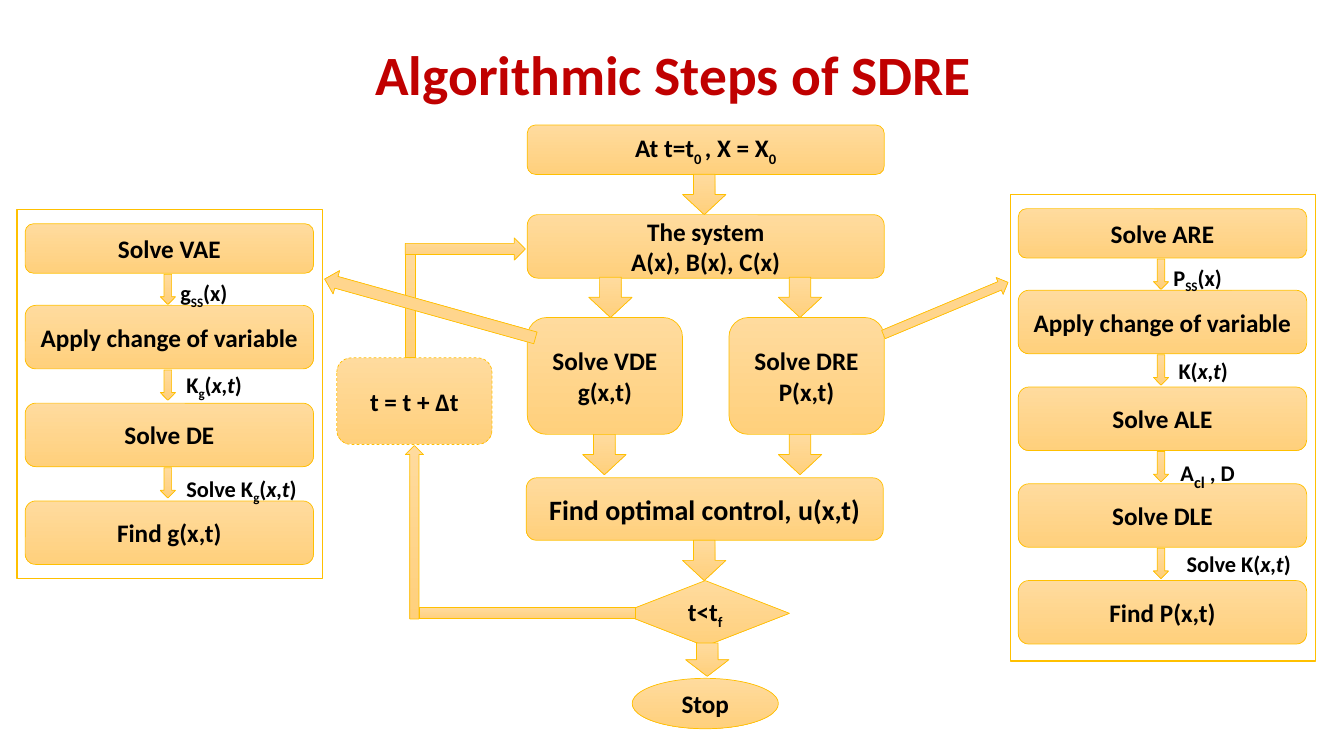
from dataclasses import dataclass

from pptx import Presentation
from pptx.dml.color import RGBColor
from pptx.enum.dml import MSO_LINE
from pptx.enum.shapes import MSO_SHAPE as S
from pptx.enum.text import MSO_ANCHOR as ANCHOR, PP_ALIGN as ALIGN
from pptx.util import Inches, Pt

COLORS = {"top": "FFDB9E", "bottom": "FFD07C", "edge": "FFC000",
          "text": "000000", "title": "C00000", "white": "FFFFFF"}
FONT = "Calibri"


@dataclass
class Block:
    """A filled shape; in text, | parts runs: _ subscript, ~ large subscript, / italic."""
    kind: S
    left: float
    top: float
    width: float
    height: float
    text: str = ""
    size: float = 18
    rotation: float = 0
    dashed: bool = False


@dataclass
class Step:
    text: str
    label: str = ""
    label_dx: float = 0
    label_dy: float = 0


@dataclass
class Branch:
    left: float
    top: float
    height: float
    pitch: float
    steps: list[Step]


def rgb(name: str) -> RGBColor:
    return RGBColor.from_string(COLORS[name])


def write(tf, text: str, size: float, color: str = "text", align=ALIGN.CENTER) -> None:
    for i, line in enumerate(text.split("\n")):
        p = tf.add_paragraph() if i else tf.paragraphs[0]
        p.alignment = align
        p.font.name, p.font.size, p.font.bold = FONT, Pt(size), True
        p.font.color.rgb = rgb(color)
        for part in line.split("|"):
            r = p.add_run()
            r.text = part.lstrip("_~/")
            if part[0] in "_~":
                r.font._element.set("baseline", "-25000")
            if part[0] == "~":
                r.font.size = Pt(20)
            if part[0] == "/":
                r.font.italic = True


def draw_block(b: Block):
    sp = slide.shapes.add_shape(b.kind, Inches(b.left), Inches(b.top),
                                Inches(b.width), Inches(b.height))
    sp.shadow.inherit = False
    sp.rotation = b.rotation
    sp.fill.gradient()
    sp.fill.gradient_angle = 270
    for stop, name in zip(sp.fill.gradient_stops, ("top", "bottom")):
        stop.color.rgb = rgb(name)
    sp.line.color.rgb = rgb("edge")
    sp.line.width = Pt(0.5)
    if b.dashed:
        sp.line.dash_style = MSO_LINE.DASH
    if b.text:
        sp.text_frame.vertical_anchor = ANCHOR.MIDDLE
        write(sp.text_frame, b.text, b.size)
    return sp


def draw_label(text: str, left: float, top: float) -> None:
    box = slide.shapes.add_textbox(Inches(left), Inches(top), Inches(1.35), Inches(0.37))
    write(box.text_frame, text, 16, align=ALIGN.LEFT)


def draw_branch(br: Branch) -> None:
    frame = draw_block(Block(S.RECTANGLE, br.left, br.top, 3.03, br.height))
    frame.fill.solid()
    frame.fill.fore_color.rgb = rgb("white")
    frame.line.width = Pt(1)
    bottoms = []
    for i, step in enumerate(br.steps):
        # The first box is lower in height; the rest follow at an equal pitch
        top = br.top + (0.95 + (i - 1) * br.pitch if i else 0.14)
        height = 0.63 if i else 0.49
        draw_block(Block(S.ROUNDED_RECTANGLE, br.left + 0.08, top, 2.86, height, step.text))
        bottoms.append(top + height)
    # Arrows and labels lie in front of all boxes
    for step, bottom in zip(br.steps[:-1], bottoms):
        draw_block(Block(S.DOWN_ARROW, br.left + 1.42, bottom + 0.01, 0.15, 0.3))
        draw_label(step.label, br.left + step.label_dx, bottom + step.label_dy)


def down(left: float, top: float, height: float = 0.4) -> Block:
    return Block(S.DOWN_ARROW, left, top, 0.43, height)


prs = Presentation()
prs.slide_width, prs.slide_height = Inches(13.33), Inches(7.5)
slide = prs.slides.add_slide(prs.slide_layouts[6])

# Main flow, its arrows and the time-step loop
FLOW = [
    Block(S.ROUNDED_RECTANGLE, 5.23, 1.24, 3.54, 0.49, "At t=t|_0 |, X = X|_0"),
    Block(S.ROUNDED_RECTANGLE, 5.23, 2.13, 3.54, 0.63, "The system\nA(x), B(x), C(x)"),
    Block(S.ROUNDED_RECTANGLE, 5.23, 3.15, 1.54, 1.16, "Solve VDE\ng(x,t)"),
    Block(S.ROUNDED_RECTANGLE, 7.23, 3.15, 1.54, 1.16, "Solve DRE\nP(x,t)"),
    Block(S.ROUNDED_RECTANGLE, 5.22, 4.74, 3.54, 0.62, "Find optimal control, u(x,t)", 20),
    Block(S.FLOWCHART_DECISION, 6.16, 5.76, 1.67, 0.65, "t<t|_f"),
    Block(S.OVAL, 6.27, 6.73, 1.45, 0.5, "Stop"),
    down(6.77, 1.73), down(5.84, 2.75), down(7.72, 2.75), down(5.78, 4.31),
    down(7.72, 4.31), down(6.77, 5.36), down(6.8, 6.38, 0.33),
    Block(S.RECTANGLE, 4.16, 6.03, 2.14, 0.11),
    Block(S.UP_ARROW, 4.02, 4.42, 0.18, 1.72),
    Block(S.ROUNDED_RECTANGLE, 3.34, 3.55, 1.54, 0.86, "t = t + ∆t", dashed=True),
    Block(S.RECTANGLE, 4.02, 2.48, 0.1, 1.07),
    Block(S.RIGHT_ARROW, 4.02, 2.36, 1.19, 0.22),
    Block(S.RIGHT_ARROW, 8.71, 2.97, 1.34, 0.18, rotation=337.3),
    Block(S.RIGHT_ARROW, 3.18, 2.94, 2.17, 0.24, rotation=195.6),
]
for block in FLOW:
    draw_block(block)

# Side branches
BRANCHES = [
    Branch(10.02, 1.93, 4.63, 0.96, [
        Step("Solve ARE", "P|_SS|(x)", 1.52, 0.01),
        Step("Apply change of variable", "K(|/x,t|)", 1.57, -0.02),
        Step("Solve ALE", "A|~cl| , D", 1.59, -0.02),
        Step("Solve DLE", "Solve K(|/x,t|)", 1.65, -0.02),
        Step("Find P(x,t)")]),
    Branch(0.17, 2.08, 3.66, 0.97, [
        Step("Solve VAE", "g|_SS|(x)", 1.52, 0.01),
        Step("Apply change of variable", "K|_g|(|/x,t|)", 1.58, -0.03),
        Step("Solve DE", "Solve K|_g|(|/x,t|)", 1.58, 0.03),
        Step("Find g(x,t)")]),
]
for branch in BRANCHES:
    draw_branch(branch)

# Title
title = slide.shapes.add_textbox(Inches(0.72), Inches(0.49), Inches(12.04), Inches(0.56))
tf = title.text_frame
tf.word_wrap = True
tf.vertical_anchor = ANCHOR.MIDDLE
write(tf, "Algorithmic Steps of SDRE ", 39.6, "title")
tf.paragraphs[0].line_spacing = 0.9

prs.save("out.pptx")
